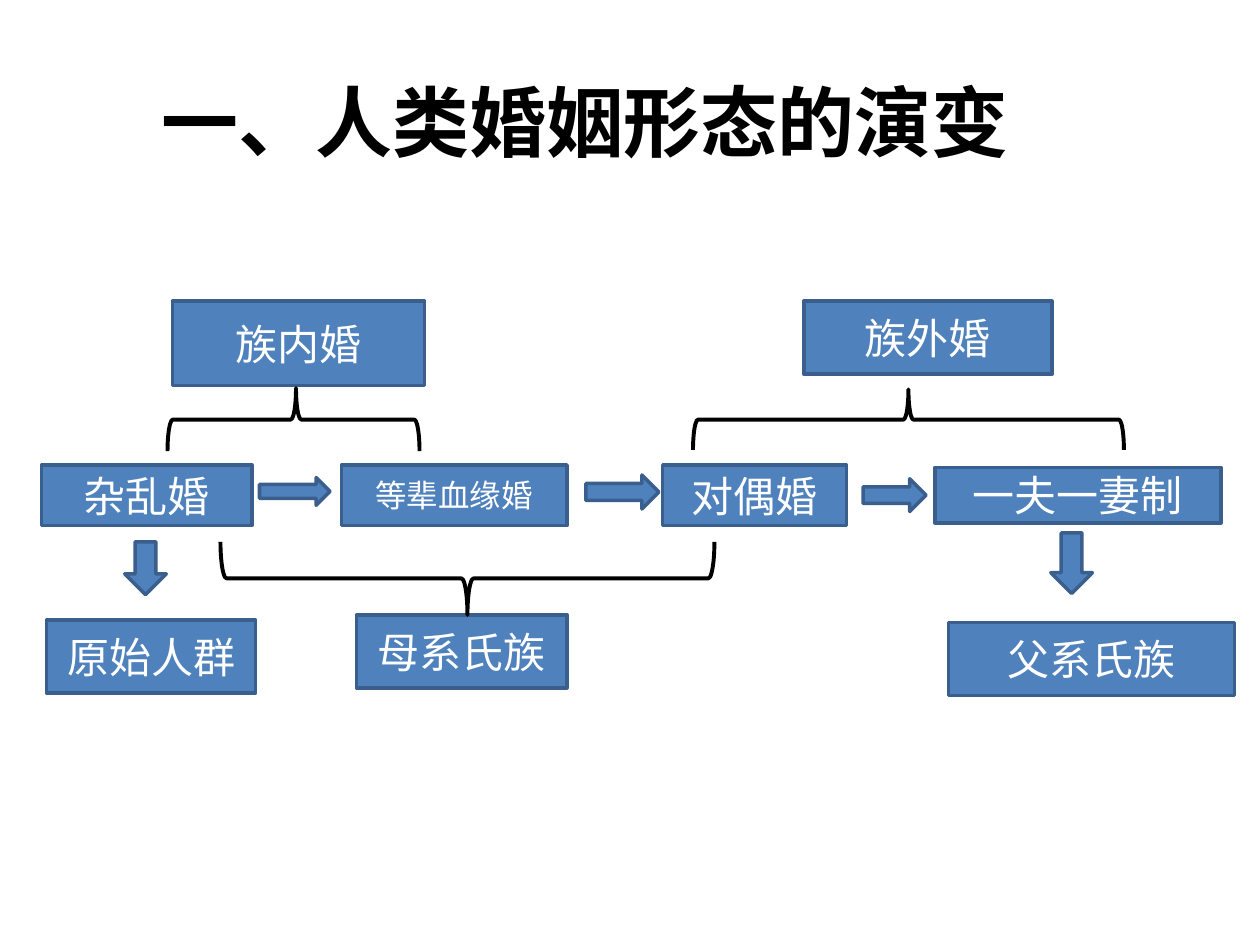
"""Build a slide that charts how forms of human marriage evolved."""
from lxml import etree
from pptx import Presentation, util as u
from pptx.dml.color import RGBColor
from pptx.enum import shapes, text
from pptx.oxml.ns import qn

WIDTH, HEIGHT = 10, 7.5
COLUMNS, ROWS = 100, 75
BLUE, EDGE, WHITE, BLACK = "4F81BD", "3A5F8C", "FFFFFF", "000000"
BODY_FONT, CJK_FONT = "Calibri", "Noto Sans CJK SC"
KIND = shapes.MSO_SHAPE

STAGE_ROW, STAGE_HEIGHT = 36.9, 4.8
OUTCOME_HEIGHT = 5.8
GROUPS = [
    ("族内婚", 13.7, 23.9, 20, 6.7),
    ("族外婚", 63.8, 23.9, 19.7, 5.8),
]
STAGES = [
    ("杂乱婚", 3.3, STAGE_ROW, 16.7, STAGE_HEIGHT),
    ("等辈血缘婚", 27.1, STAGE_ROW, 17.9, STAGE_HEIGHT, 18),
    ("对偶婚", 52.6, STAGE_ROW, 14.6, STAGE_HEIGHT),
    ("一夫一妻制", 74.2, 37.1, 22.7, 4.4),
]
OUTCOMES = [
    ("原始人群", 3.7, 49.2, 16.6, OUTCOME_HEIGHT),
    ("母系氏族", 28.3, 48.8, 16.7, OUTCOME_HEIGHT),
    ("父系氏族", 75.3, 49.4, 22.7, OUTCOME_HEIGHT),
]
ARROWS = [
    (KIND.DOWN_ARROW, 9.9, 43, 3.3, 4.2),
    (KIND.DOWN_ARROW, 83.4, 42.3, 3.3, 4.8),
    (KIND.RIGHT_ARROW, 20.6, 37.9, 5.6, 2.2),
    (KIND.RIGHT_ARROW, 46.5, 37.7, 5.8, 2.7),
    (KIND.RIGHT_ARROW, 68.5, 38, 5, 2.6),
]
BRACES = [
    (KIND.RIGHT_BRACE, 20.8, 23.3, 5, 20, 0.51),
    (KIND.RIGHT_BRACE, 69.7, 16.2, 4.8, 34.2),
    (KIND.LEFT_BRACE, 34.2, 26.3, 5.8, 39.2),
]


def color(value):
    """Turn a hex string into a colour."""
    return RGBColor.from_string(value)


def place(column, row, columns, rows):
    """Turn grid units into left, top, width and height."""
    return (u.Inches(column * WIDTH / COLUMNS), u.Inches(row * HEIGHT / ROWS),
            u.Inches(columns * WIDTH / COLUMNS), u.Inches(rows * HEIGHT / ROWS))


def write(shape, words, size, ink, font=BODY_FONT, bold=False):
    """Write one centred line in the middle of a shape."""
    frame = shape.text_frame
    frame.word_wrap = True
    frame.vertical_anchor = text.MSO_ANCHOR.MIDDLE
    paragraph = frame.paragraphs[0]
    paragraph.alignment = text.PP_ALIGN.CENTER
    run = paragraph.add_run()
    run.text = words
    run.font.size = u.Pt(size)
    run.font.bold = bold
    run.font.name = font
    run.font.color.rgb = color(ink)
    east_asian = etree.SubElement(run.font._element, qn("a:ea"))
    east_asian.set("typeface", CJK_FONT)


def add_title(slide, words):
    """Add the bold slide title."""
    title = slide.shapes.add_textbox(*place(0, 3.3, 92.9, 12.5))
    write(title, words, 44, BLACK, CJK_FONT, True)


def add_block(slide, kind, *area):
    """Add a blue outlined shape."""
    shape = slide.shapes.add_shape(kind, *place(*area))
    shape.shadow.inherit = False
    shape.fill.solid()
    shape.fill.fore_color.rgb = color(BLUE)
    shape.line.color.rgb = color(EDGE)
    shape.line.width = u.Pt(2)
    return shape


def add_box(slide, words, column, row, columns, rows, size=24):
    """Add a labelled blue rectangle."""
    box = add_block(slide, KIND.RECTANGLE, column, row, columns, rows)
    write(box, words, size, WHITE)


def add_brace(slide, kind, column, row, columns, rows, tip=0.5):
    """Add a brace turned to lie on its side."""
    brace = slide.shapes.add_shape(kind, *place(column, row, columns, rows))
    brace.shadow.inherit = False
    brace.rotation = 270
    brace.adjustments[1] = tip
    brace.fill.background()
    brace.line.color.rgb = color(BLACK)
    brace.line.width = u.Pt(2.25)


def main():
    """Build and save the slide."""
    presentation = Presentation()
    presentation.slide_width = u.Inches(WIDTH)
    presentation.slide_height = u.Inches(HEIGHT)
    slide = presentation.slides.add_slide(presentation.slide_layouts[6])
    add_title(slide, "一、人类婚姻形态的演变")
    for box in GROUPS + STAGES + OUTCOMES:
        add_box(slide, *box)
    for arrow in ARROWS:
        add_block(slide, *arrow)
    for brace in BRACES:
        add_brace(slide, *brace)
    presentation.save("out.pptx")


if __name__ == "__main__":
    main()
